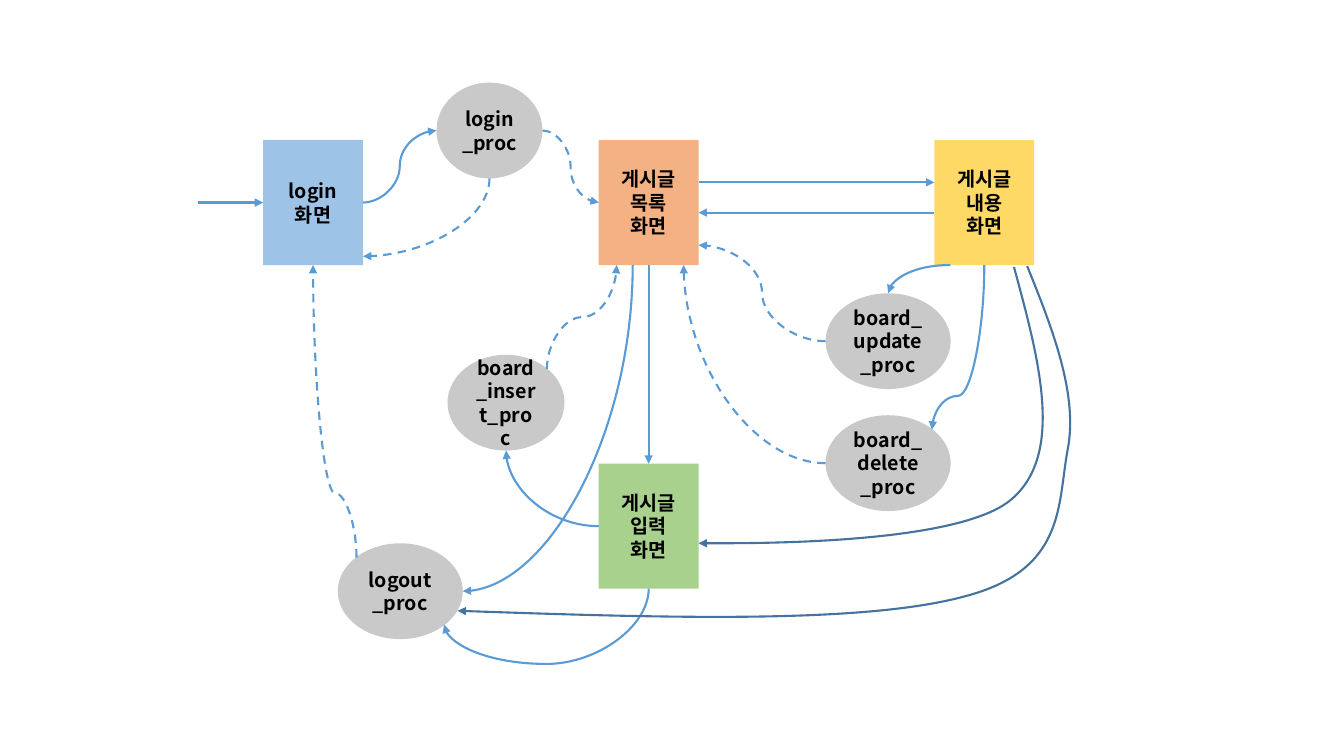
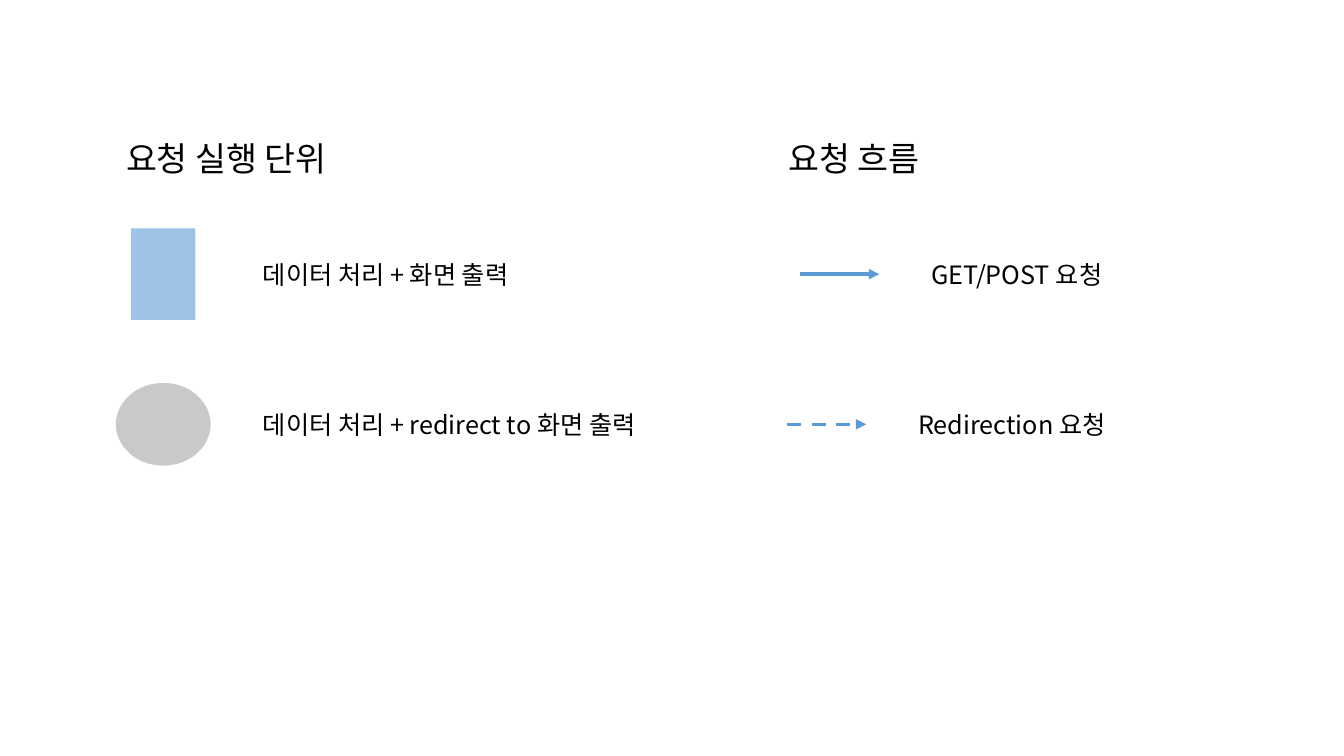
"""Build a two-slide map of a message board: the page flow and its legend."""
from lxml.etree import SubElement
from pptx import Presentation
from pptx.dml.color import RGBColor
from pptx.enum.dml import MSO_LINE
from pptx.enum.shapes import MSO_CONNECTOR as Link, MSO_SHAPE as Preset
from pptx.enum.text import MSO_ANCHOR, MSO_AUTO_SIZE, PP_ALIGN
from pptx.oxml.ns import qn
from pptx.util import Inches, Pt

FONT = "Noto Sans CJK KR"
BLACK, BLUE, DARK_BLUE = "000000", "5B9BD5", "43739E"
PAGE_BLUE, GRAY = "9DC3E6", "C9C9C9"
color = RGBColor.from_string

presentation = Presentation()
presentation.slide_width = Inches(13.33)
presentation.slide_height = Inches(7.5)
column = presentation.slide_width / 100
row = presentation.slide_height / 100


def format_text(shape, size, bold=False, align=PP_ALIGN.LEFT):
    """Give every run of a shape the shared font."""
    for paragraph in shape.text_frame.paragraphs:
        paragraph.alignment = align
        paragraph.space_before = Pt(0)
        for run in paragraph.runs:
            run.font.name = FONT
            run.font.size = Pt(size)
            run.font.bold = bold
            run.font.color.rgb = color(BLACK)
            SubElement(run._r.get_or_add_rPr(), qn("a:ea"), typeface=FONT)


def style_arrow(shape, line_color=BLUE, width=1.5, dashed=False):
    """Draw a line with a triangle at its end and no shadow."""
    shape.line.color.rgb = color(line_color)
    shape.line.width = Pt(width)
    if dashed:
        shape.line.dash_style = MSO_LINE.DASH
    properties = shape._element.spPr
    SubElement(properties.find(qn("a:ln")), qn("a:tailEnd"), type="triangle")
    SubElement(properties, qn("a:effectLst"))


flow_slide = presentation.slides.add_slide(presentation.slide_layouts[6])
legend_slide = presentation.slides.add_slide(presentation.slide_layouts[4])

page_size, proc_height = (7.43, 16.53), 12.67
page_columns = [19.58 + 24.97 * index for index in range(3)]
legend_rows = [36.27, 56.13]
legend_center = 12.15

blocks = [
    ("login", flow_slide, Preset.RECTANGLE, PAGE_BLUE, "login\n화면", page_columns[0], 18.53, *page_size),
    ("list", flow_slide, Preset.RECTANGLE, "F4B183", "게시글\n목록\n화면", page_columns[1], 18.53, *page_size),
    ("content", flow_slide, Preset.RECTANGLE, "FFD966", "게시글\n내용\n화면", page_columns[2], 18.53, *page_size),
    ("input", flow_slide, Preset.RECTANGLE, "A9D18E", "게시글\n입력\n화면", page_columns[1], 61.33, *page_size),
    ("login_proc", flow_slide, Preset.OVAL, GRAY, "login_proc", 32.48, 10.93, 7.88, proc_height),
    ("delete", flow_slide, Preset.OVAL, GRAY, "board_delete_proc", 61.43, 54.93, 9.3, proc_height),
    ("update", flow_slide, Preset.OVAL, GRAY, "board_update_proc", 61.43, 38.8, 9.3, proc_height),
    ("logout", flow_slide, Preset.OVAL, GRAY, "logout_proc", 25.13, 71.87, 9.3, proc_height),
    ("insert", flow_slide, Preset.OVAL, GRAY, "board_insert_proc", 33.3, 46.93, 8.7, proc_height),
    ("page key", legend_slide, Preset.RECTANGLE, PAGE_BLUE, "",
     legend_center - 2.4, legend_rows[0] - 6.07, 4.8, 12.13),
    ("proc key", legend_slide, Preset.OVAL, GRAY, "",
     legend_center - 3.53, legend_rows[1] - 5.47, 7.05, 10.93),
]
nodes = {}
for name, slide, preset, fill, label, left, top, width, height in blocks:
    shape = slide.shapes.add_shape(
        preset, int(left * column), int(top * row), int(width * column), int(height * row))
    shape.shadow.inherit = False
    shape.fill.solid()
    shape.fill.fore_color.rgb = color(fill)
    shape.line.fill.background()
    shape.text_frame.text = label
    shape.text_frame.vertical_anchor = MSO_ANCHOR.MIDDLE
    format_text(shape, 14, True, PP_ALIGN.CENTER)
    nodes[name] = shape

TOP, LEFT, BOTTOM, RIGHT = (0.5, 0), (0, 0.5), (0.5, 1), (1, 0.5)
TOP_LEFT, BOTTOM_LEFT, BOTTOM_RIGHT, TOP_RIGHT = (0.15, 0.15), (0.15, 0.85), (0.85, 0.85), (0.85, 0.15)
sites = {
    Preset.RECTANGLE: [TOP, LEFT, BOTTOM, RIGHT],
    Preset.OVAL: [TOP, TOP_LEFT, LEFT, BOTTOM_LEFT, BOTTOM, BOTTOM_RIGHT, RIGHT, TOP_RIGHT],
}

curves = [
    ("login", RIGHT, "login_proc", LEFT, "across", 3, None, False),
    ("login_proc", RIGHT, "list", LEFT, "across", 3, None, True),
    ("login_proc", BOTTOM, "login", (1, 0.93), "down", 2, None, True),
    ("content", (0.16, 1), "update", TOP, "across", 2, None, False),
    ("content", BOTTOM, "delete", TOP_RIGHT, "down", 3, 79500, False),
    ("update", LEFT, "list", (1, 0.84), "across", 3, None, True),
    ("delete", LEFT, "list", (0.85, 1), "across", 2, None, True),
    ("input", LEFT, "insert", BOTTOM, "across", 2, None, False),
    ("insert", TOP_RIGHT, "list", (0.18, 1), "down", 3, None, True),
    ("logout", TOP_LEFT, "login", BOTTOM, "down", 3, 22100, True),
    ("list", (0.34, 1), "logout", RIGHT, "down", 2, None, False),
    ("input", BOTTOM, "logout", BOTTOM_RIGHT, "down", 3, 208700, False),
]
for source, source_site, target, target_site, course, bends, adjustment, dashed in curves:
    ends = [(nodes[source], source_site), (nodes[target], target_site)]
    (x1, y1), (x2, y2) = [
        (node.left + node.width * x, node.top + node.height * y) for node, (x, y) in ends]
    run_x, run_y = x2 - x1, y2 - y1
    width, height = abs(run_x), abs(run_y)
    if course == "across":
        turn, flipped = (0 if run_x > 0 else 180), run_x * run_y < 0
    else:
        turn, flipped = (90 if run_y > 0 else 270), run_x * run_y > 0
        width, height = height, width
    left, top = (x1 + x2 - width) / 2, (y1 + y2 - height) / 2
    curve = flow_slide.shapes.add_connector(
        Link.CURVE, int(left), int(top), int(left + width), int(top + height))
    properties = curve._element.spPr
    frame = properties.find(qn("a:xfrm"))
    frame.set("rot", str(turn * 60000))
    if flipped:
        frame.set("flipV", "1")
    geometry = properties.find(qn("a:prstGeom"))
    geometry.set("prst", f"curvedConnector{bends}")
    if adjustment:
        SubElement(geometry.find(qn("a:avLst")), qn("a:gd"), name="adj1", fmla=f"val {adjustment}")
    for tag, (node, site) in zip(("a:stCxn", "a:endCxn"), ends):
        node_sites = sites[node.auto_shape_type]
        if site in node_sites:
            SubElement(curve._element.nvCxnSpPr.cNvCxnSpPr, qn(tag),
                       id=str(node.shape_id), idx=str(node_sites.index(site)))
    style_arrow(curve, dashed=dashed)

page_right = page_columns[1] + page_size[0]
page_middle = page_columns[1] + page_size[0] / 2
login_middle = 18.53 + page_size[1] / 2
straight_arrows = [
    (flow_slide, page_right, 24.13, page_columns[2], 24.13, 1.5, False, None, None),
    (flow_slide, page_columns[2], 28.13, page_right, 28.13, 1.5, False, None, None),
    (flow_slide, page_middle, 35.06, page_middle, 61.33, 1.5, False, ("list", 2), ("input", 0)),
    (flow_slide, 14.7, login_middle, page_columns[0], login_middle, 2, False, None, ("login", 1)),
    (legend_slide, 59.55, legend_rows[0], 65.43, legend_rows[0], 2.5, False, None, None),
    (legend_slide, 58.58, legend_rows[1], 64.46, legend_rows[1], 2.5, True, None, None),
]
for slide, x1, y1, x2, y2, weight, dashed, begin, end in straight_arrows:
    arrow = slide.shapes.add_connector(
        Link.STRAIGHT, int(x1 * column), int(y1 * row), int(x2 * column), int(y2 * row))
    if begin:
        arrow.begin_connect(nodes[begin[0]], begin[1])
    if end:
        arrow.end_connect(nodes[end[0]], end[1])
    style_arrow(arrow, width=weight, dashed=dashed)

sweeps = [
    [(75.45, 35.33), (77.33, 47.6), (79.2, 60), (75.3, 66),
     (71.4, 72.13), (51.98, 71.87), (51.98, 71.87)],
    [(76.43, 35.2), (78.38, 43.73), (80.25, 52.4), (79.43, 59.6), (78.68, 66.93),
     (79.28, 75.47), (71.7, 78.93), (64.13, 82.53), (49.13, 81.73), (34.05, 80.8)],
]
for sweep in sweeps:
    points = [(int(x * column), int(y * row)) for x, y in sweep]
    builder = flow_slide.shapes.build_freeform(*points[0])
    builder.add_line_segments(points[1:], close=False)
    shape = builder.convert_to_shape()
    segments = list(shape._element.iter(qn("a:lnTo")))
    for start in range(0, len(segments), 3):
        bezier = SubElement(segments[start].getparent(), qn("a:cubicBezTo"))
        for segment in segments[start:start + 3]:
            bezier.append(segment[0])
            segment.getparent().remove(segment)
    shape.fill.background()
    style_arrow(shape, DARK_BLUE)

headings = {1: ("요청 실행 단위", 8.63, 18.45), 3: ("요청 흐름", 57.9, 12.53)}
for placeholder in list(legend_slide.placeholders):
    index = placeholder.placeholder_format.idx
    if index not in headings:
        placeholder._element.getparent().remove(placeholder._element)
        continue
    text, left, width = headings[index]
    placeholder.left, placeholder.top = int(left * column), int(17.6 * row)
    placeholder.width, placeholder.height = int(width * column), int(6.67 * row)
    placeholder.text_frame.text = text
    placeholder.text_frame.word_wrap = False
    placeholder.text_frame.auto_size = MSO_AUTO_SIZE.NONE
    placeholder.text_frame.vertical_anchor = MSO_ANCHOR.TOP
    format_text(placeholder, 24)

descriptions = [
    ("데이터 처리 + 화면 출력", 18.83, legend_rows[0], 23.63),
    ("데이터 처리 + redirect to 화면 출력", 18.83, legend_rows[1], 32.5),
    ("GET/POST 요청", 68.55, legend_rows[0], 23.63),
    ("Redirection 요청", 67.58, legend_rows[1], 23.63),
]
for text, left, middle, width in descriptions:
    description = legend_slide.shapes.add_textbox(
        int(left * column), int((middle - 2.67) * row), int(width * column), int(5.33 * row))
    description.text_frame.text = text
    description.text_frame.word_wrap = True
    format_text(description, 18)

presentation.save("out.pptx")
